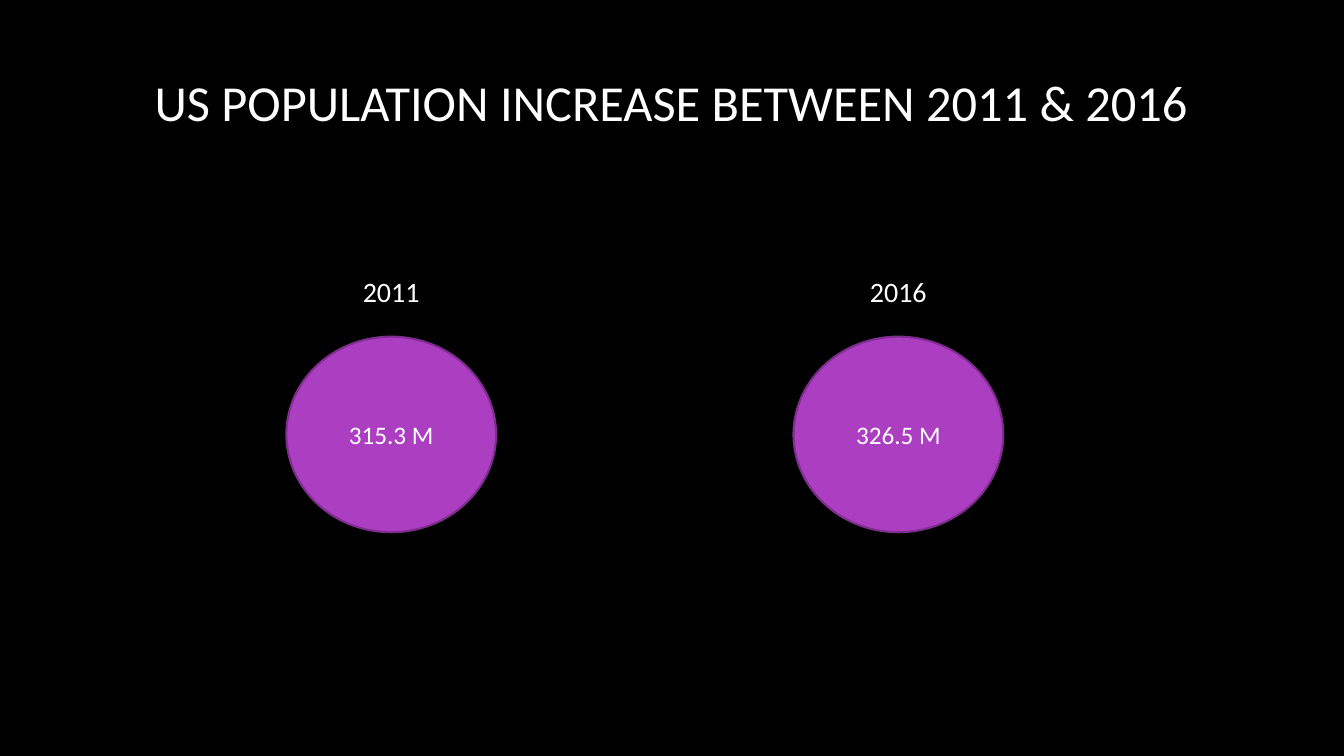
"""Build the slide on US population growth."""
from dataclasses import dataclass

from pptx import Presentation
from pptx.dml.color import RGBColor
from pptx.enum.shapes import MSO_SHAPE
from pptx.enum.text import MSO_ANCHOR, PP_ALIGN
from pptx.util import Inches, Pt


@dataclass(frozen=True)
class Theme:
    """Hold the colours, font and type sizes."""
    back: str = "000000"
    ink: str = "FFFFFF"
    fill: str = "AC3EC1"
    edge: str = "7F2E8F"
    font: str = "Calibri"
    title: int = 36
    year: int = 20
    value: int = 18


def write(frame, text, *, size, color, font, anchor=MSO_ANCHOR.TOP):
    """Put one centred line of formatted text in a frame."""
    frame.word_wrap = True
    frame.vertical_anchor = anchor
    line = frame.paragraphs[0]
    line.alignment = PP_ALIGN.CENTER
    run = line.add_run()
    run.text = text
    run.font.size = Pt(size)
    run.font.name = font
    run.font.bold = False
    run.font.color.rgb = RGBColor.from_string(color)


class Painter:
    """Draw styled elements on the current slide."""

    def __init__(self, slide, theme):
        """Keep the slide and theme, and paint the background."""
        self.slide = slide
        self.theme = theme
        fill = slide.background.fill
        fill.solid()
        fill.fore_color.rgb = RGBColor.from_string(theme.back)

    def title(self, text, left, top, width, height):
        """Place and fill the title placeholder."""
        title = self.slide.shapes.title
        title.left, title.top = Inches(left), Inches(top)
        title.width, title.height = Inches(width), Inches(height)
        write(title.text_frame, text, size=self.theme.title,
              color=self.theme.ink, font=self.theme.font,
              anchor=MSO_ANCHOR.MIDDLE)

    def label(self, text, left, top, width, height, size):
        """Add a centred text box."""
        box = self.slide.shapes.add_textbox(
            Inches(left), Inches(top), Inches(width), Inches(height))
        write(box.text_frame, text, size=size,
              color=self.theme.ink, font=self.theme.font)

    def disc(self, left, top, width, height):
        """Add a filled and outlined ellipse."""
        disc = self.slide.shapes.add_shape(
            MSO_SHAPE.OVAL, Inches(left), Inches(top),
            Inches(width), Inches(height))
        disc.shadow.inherit = False
        disc.fill.solid()
        disc.fill.fore_color.rgb = RGBColor.from_string(self.theme.fill)
        disc.line.color.rgb = RGBColor.from_string(self.theme.edge)
        disc.line.width = Pt(1.5)


def main():
    """Build and save the slide."""
    deck = Presentation()
    deck.slide_width, deck.slide_height = Inches(13.33), Inches(7.5)
    theme = Theme()
    paint = Painter(deck.slides.add_slide(deck.slide_layouts[5]), theme)
    paint.title("US POPULATION INCREASE BETWEEN 2011 & 2016",
                0.75, 0.21, 11.82, 1.59)
    start, step, width, inset = 2.84, 5.03, 2.08, 0.4
    people = [("2011", "315.3 M"), ("2016", "326.5 M")]
    for index, (year, value) in enumerate(people):
        left = start + index * step
        paint.disc(left, 3.34, width, 1.94)
        paint.label(year, left, 2.67, width, 0.44, theme.year)
        paint.label(value, left + inset, 4.11, width - 2 * inset, 0.4,
                    theme.value)
    deck.save("out.pptx")


if __name__ == "__main__":
    main()
